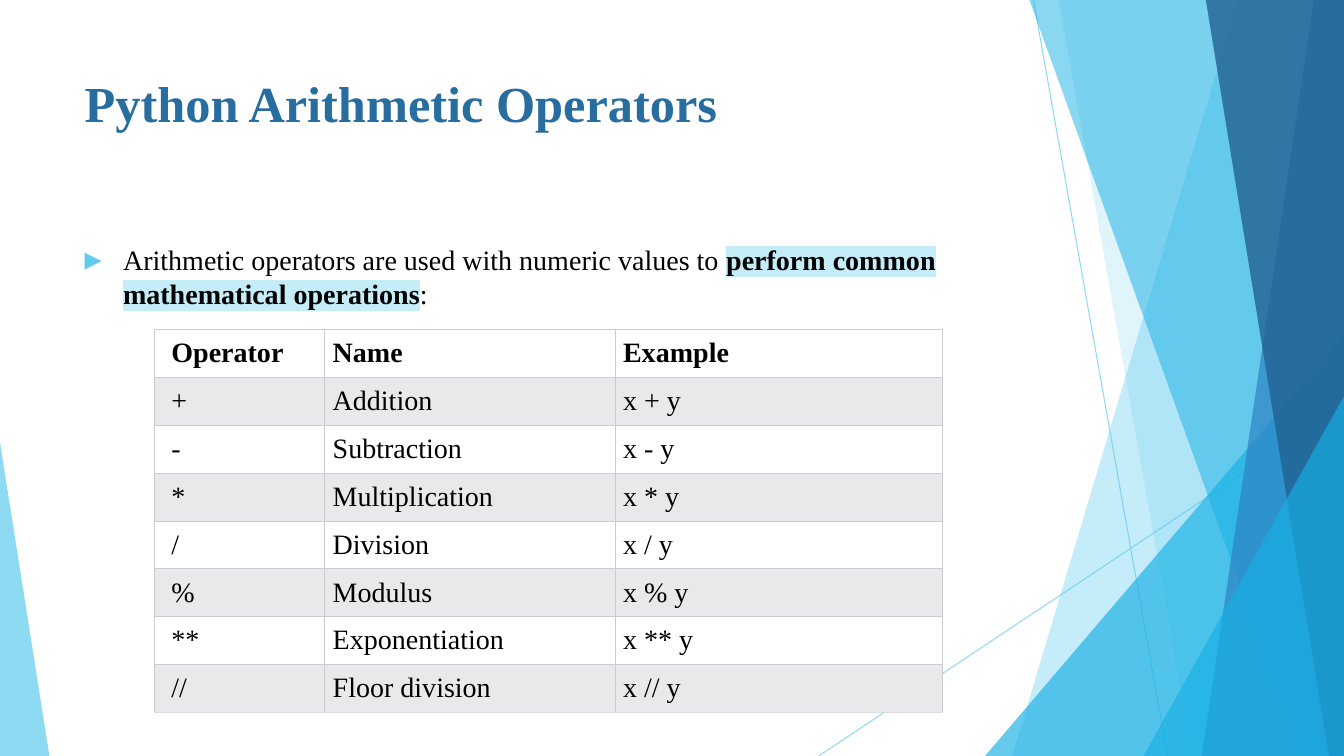
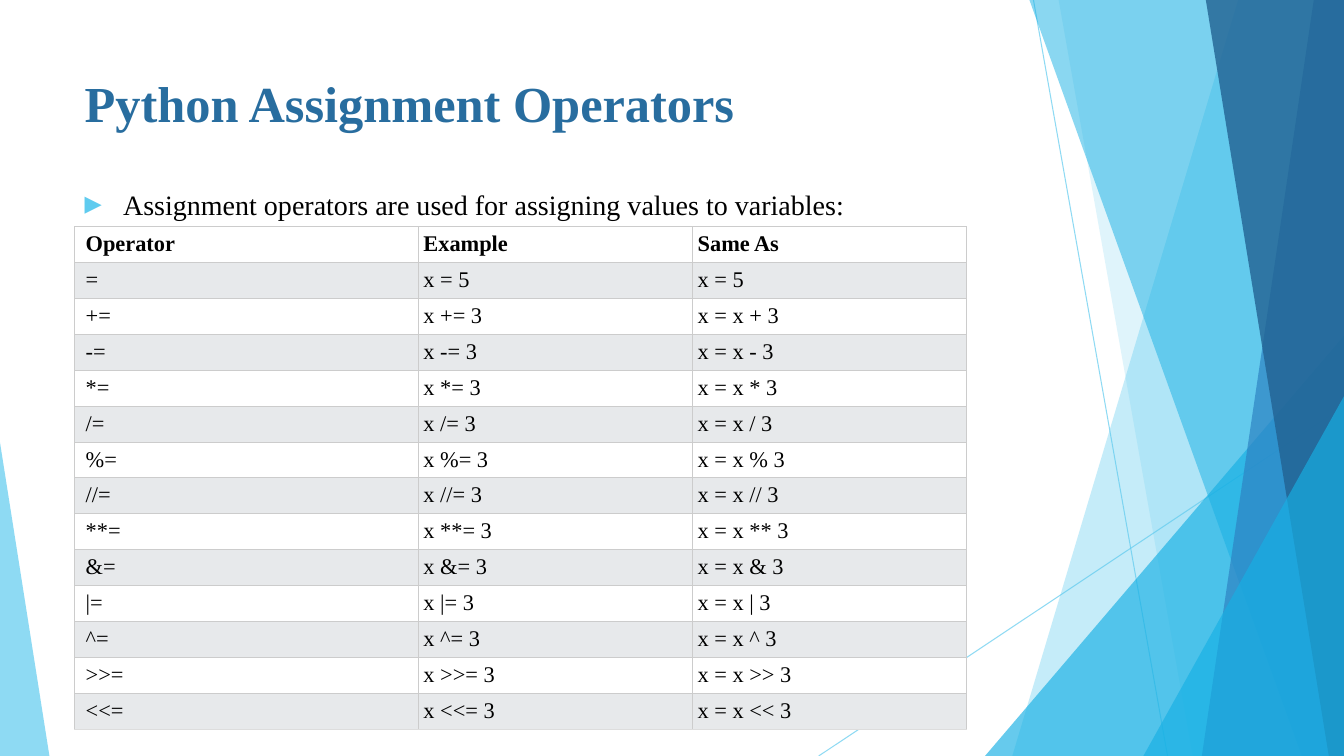
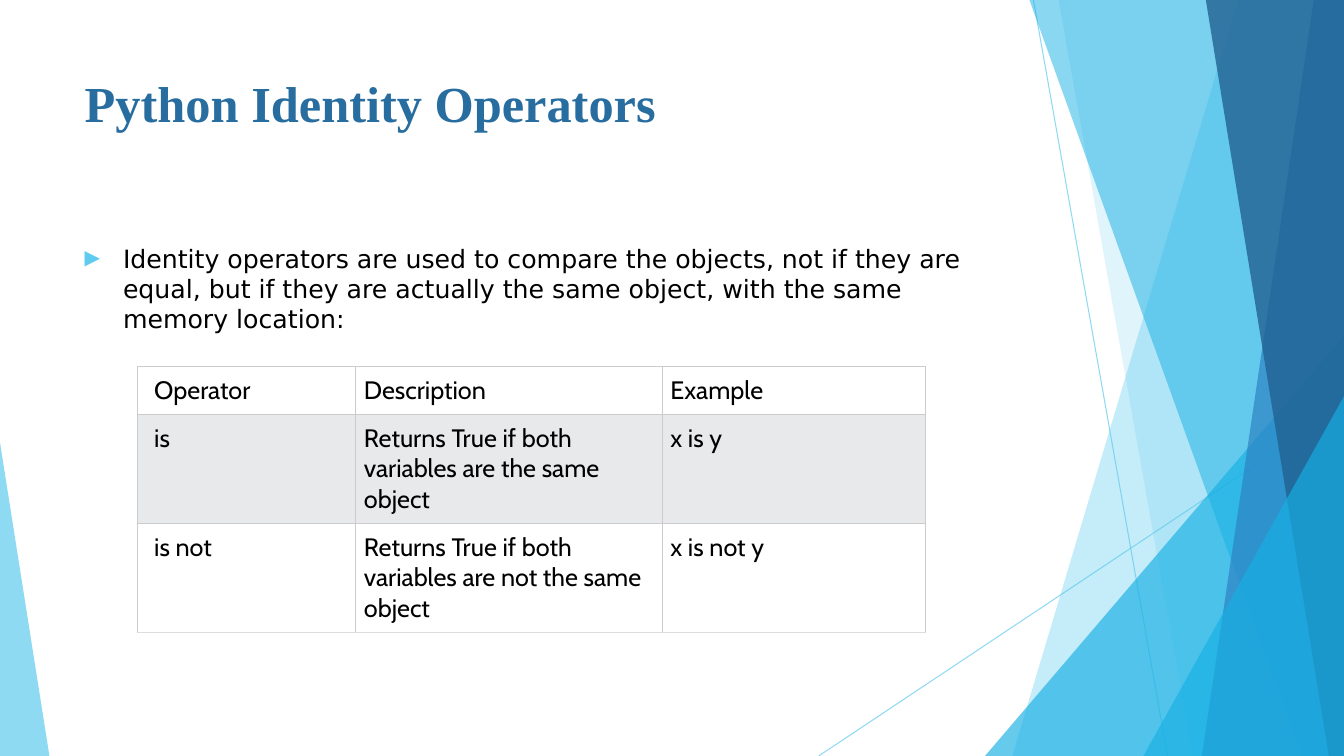
"""Build three slides on Python operators over a shared faceted background."""
from lxml import etree
from pptx import Presentation, util as u
from pptx.dml.color import RGBColor
from pptx.enum import shapes, text
from pptx.oxml.ns import qn


class Theme:
    sky, cyan, blue, navy = "5FCBEF", "17B0E4", "2E83C3", "226292"
    title, ink, highlight = "286D9F", "000000", "C5ECF9"
    bands = ("FFFFFF", "E7E9EB")
    grid, grid_end = "CCCCCC", "DDDDDD"
    serif, sans, table_sans = "Times New Roman", "DejaVu Sans", "Cabin"
    title_size, large, medium, small = 36, 20, 18, 16
    hairline = 0.75


def add_xml(parent, tag, **attributes):
    return etree.SubElement(parent, qn(tag), {k: str(v) for k, v in attributes.items()})


def add_run(paragraph, words, size, face, color=Theme.ink, bold=False):
    run = paragraph.add_run()
    run.text = words
    for name, value in {"size": u.Pt(size), "name": face, "bold": bold}.items():
        setattr(run.font, name, value)
    run.font.color.rgb = RGBColor.from_string(color)
    return run


arithmetic = [("+", "Addition"), ("-", "Subtraction"), ("*", "Multiplication"),
              ("/", "Division"), ("%", "Modulus"), ("**", "Exponentiation"),
              ("//", "Floor division")]
assignment = ["+", "-", "*", "/", "%", "//", "**", "&", "|", "^", ">>", "<<"]

topics = [
    {
        "title": "Python Arithmetic Operators",
        "intro": [("Arithmetic operators are used with numeric values to ", False),
                  ("perform common mathematical operations", True), (":", False)],
        "intro_top": 2.36, "intro_size": Theme.large, "intro_face": Theme.serif,
        "origin": (1.53, 3.27), "columns": (1.69, 2.88, 3.25), "heights": [0.475] * 8,
        "size": Theme.large, "face": Theme.serif, "bold_head": True,
        "first_inset": 0.17, "inset": 0.08,
        "rows": [("Operator", "Name", "Example")]
        + [(sign, name, f"x {sign} y") for sign, name in arithmetic],
    },
    {
        "title": "Python Assignment Operators",
        "intro": [("Assignment operators are used for assigning values to variables:", False)],
        "intro_top": 1.81, "intro_size": Theme.large, "intro_face": Theme.serif,
        "origin": (0.74, 2.25), "columns": (3.41, 2.72, 2.72), "heights": [0.356] * 14,
        "size": Theme.small, "face": Theme.serif, "bold_head": True,
        "first_inset": 0.11, "inset": 0.05,
        "rows": [("Operator", "Example", "Same As"), ("=", "x = 5", "x = 5")]
        + [(f"{sign}=", f"x {sign}= 3", f"x = x {sign} 3") for sign in assignment],
    },
    {
        "title": "Python Identity Operators",
        "intro": [("Identity operators are used to compare the objects, not if they are "
                   "equal, but if they are actually the same object, with the same "
                   "memory location:", False)],
        "intro_top": 2.36, "intro_size": Theme.medium, "intro_face": Theme.sans,
        "origin": (1.36, 3.64), "columns": (2.17, 3.04, 2.61), "heights": [0.475, 1.08, 1.08],
        "size": Theme.medium, "face": Theme.table_sans, "bold_head": False,
        "first_inset": 0.17, "inset": 0.08,
        "rows": [("Operator", "Description", "Example"),
                 ("is", "Returns True if both variables are the same object", "x is y"),
                 ("is not", "Returns True if both variables are not the same object",
                  "x is not y")],
    },
]

rays = [(10.25, 0, 11.58, 7.5), (13.33, 4.03, 8.12, 7.5)]
facets = [
    ("band", (12.28, 10.04), Theme.sky, 36),
    ("band", (10.5, 11.83), Theme.sky, 20),
    ("triangle", (9.77, 3.33, 3.56, 4.17, 1), Theme.cyan, 66),
    ("band", (10.21, 12.91), Theme.cyan, 50),
    ("band", (13.03, 11.92), Theme.blue, 70),
    ("band", (11.96, 13.18), Theme.navy, 80),
    ("triangle", (11.34, 3.93, 1.99, 3.57, 1), Theme.cyan, 66),
    ("triangle", (0, 4.39, 0.49, 3.11, 0), Theme.sky, 70),
]

deck = Presentation()
deck.slide_width, deck.slide_height = u.Inches(13.33), u.Inches(7.5)
layout = deck.slide_layouts[1]
for placeholder in list(layout.placeholders):
    if placeholder.placeholder_format.idx >= 10:
        layout.shapes.element.remove(placeholder.element)
slides = [deck.slides.add_slide(layout) for _ in topics]

backdrop = slides[0].shapes.add_group_shape()
for ends in rays:
    ray = backdrop.shapes.add_connector(shapes.MSO_CONNECTOR.STRAIGHT, *map(u.Inches, ends))
    ray.line.width = u.Pt(Theme.hairline)
    ray.line.color.rgb = RGBColor.from_string(Theme.sky)
    add_xml(ray.element.spPr, "a:effectLst")
    for tint in ray.element.iter(qn("a:srgbClr")):
        add_xml(tint, "a:alpha", val=70000)

for kind, geometry, color, opacity in facets:
    if kind == "band":
        top_x, bottom_x = geometry
        corners = [(13.33, 0), (13.33, 7.5), (bottom_x, 7.5)]
        outline = backdrop.shapes.build_freeform(u.Inches(top_x), 0)
        outline.add_line_segments([(u.Inches(x), u.Inches(y)) for x, y in corners])
        facet = outline.convert_to_shape()
    else:
        *box, apex = geometry
        facet = backdrop.shapes.add_shape(
            shapes.MSO_SHAPE.ISOSCELES_TRIANGLE, *map(u.Inches, box))
        facet.adjustments[0] = apex
    facet.shadow.inherit = False
    facet.line.fill.background()
    facet.fill.solid()
    facet.fill.fore_color.rgb = RGBColor.from_string(color)
    for tint in facet.element.iter(qn("a:srgbClr")):
        add_xml(tint, "a:alpha", val=opacity * 1000)
layout.shapes.element.append(backdrop.element)

for slide, topic in zip(slides, topics):
    heading, intro = slide.placeholders
    for holder, top, height in ((heading, 0.67, 1.44), (intro, topic["intro_top"], 4.24)):
        for side, length in {"left": 0.74, "top": top, "width": 9.4, "height": height}.items():
            setattr(holder, side, u.Inches(length))
        frame_format = {"auto_size": text.MSO_AUTO_SIZE.NONE, "word_wrap": True,
                        "vertical_anchor": text.MSO_ANCHOR.TOP}
        for name, value in frame_format.items():
            setattr(holder.text_frame, name, value)
        holder.text_frame.paragraphs[0].alignment = text.PP_ALIGN.LEFT
    add_run(heading.text_frame.paragraphs[0], topic["title"],
            Theme.title_size, Theme.serif, Theme.title, True)

    sentence = intro.text_frame.paragraphs[0]
    sentence.space_before = u.Pt(0)
    bullet = sentence._p.get_or_add_pPr()
    bullet.set("marL", str(u.Inches(0.38)))
    bullet.set("indent", str(-u.Inches(0.38)))
    add_xml(add_xml(bullet, "a:buClr"), "a:srgbClr", val=Theme.sky)
    add_xml(bullet, "a:buSzPct", val=80000)
    add_xml(bullet, "a:buFont", typeface=Theme.sans)
    add_xml(bullet, "a:buChar", char="▶")
    for words, marked in topic["intro"]:
        run = add_run(sentence, words, topic["intro_size"], topic["intro_face"], bold=marked)
        if marked:
            run_format = run._r.get_or_add_rPr()
            marker = add_xml(run_format, "a:highlight")
            add_xml(marker, "a:srgbClr", val=Theme.highlight)
            run_format.find(qn("a:solidFill")).addnext(marker)

    rows, columns, heights = topic["rows"], topic["columns"], topic["heights"]
    size = (sum(columns), sum(heights))
    operators = slide.shapes.add_table(
        len(rows), len(columns), *map(u.Inches, topic["origin"] + size)).table
    operators.first_row = operators.horz_banding = False
    for column, width in zip(operators.columns, columns):
        column.width = u.Inches(width)
    for r, (row, height) in enumerate(zip(rows, heights)):
        operators.rows[r].height = u.Inches(height)
        for c, words in enumerate(row):
            cell = operators.cell(r, c)
            for side in ("left", "right", "top", "bottom"):
                first = c == 0 and side == "left"
                inset = topic["first_inset"] if first else topic["inset"]
                setattr(cell, f"margin_{side}", u.Inches(inset))
            for edge in "LRTB":
                last = edge == "B" and r == len(rows) - 1
                border = add_xml(cell._tc.tcPr, f"a:ln{edge}", w=u.Pt(Theme.hairline))
                add_xml(add_xml(border, "a:solidFill"), "a:srgbClr",
                        val=Theme.grid_end if last else Theme.grid)
            cell.fill.solid()
            cell.fill.fore_color.rgb = RGBColor.from_string(Theme.bands[r % 2])
            add_run(cell.text_frame.paragraphs[0], words, topic["size"], topic["face"],
                    bold=topic["bold_head"] and r == 0)

deck.save("out.pptx")
